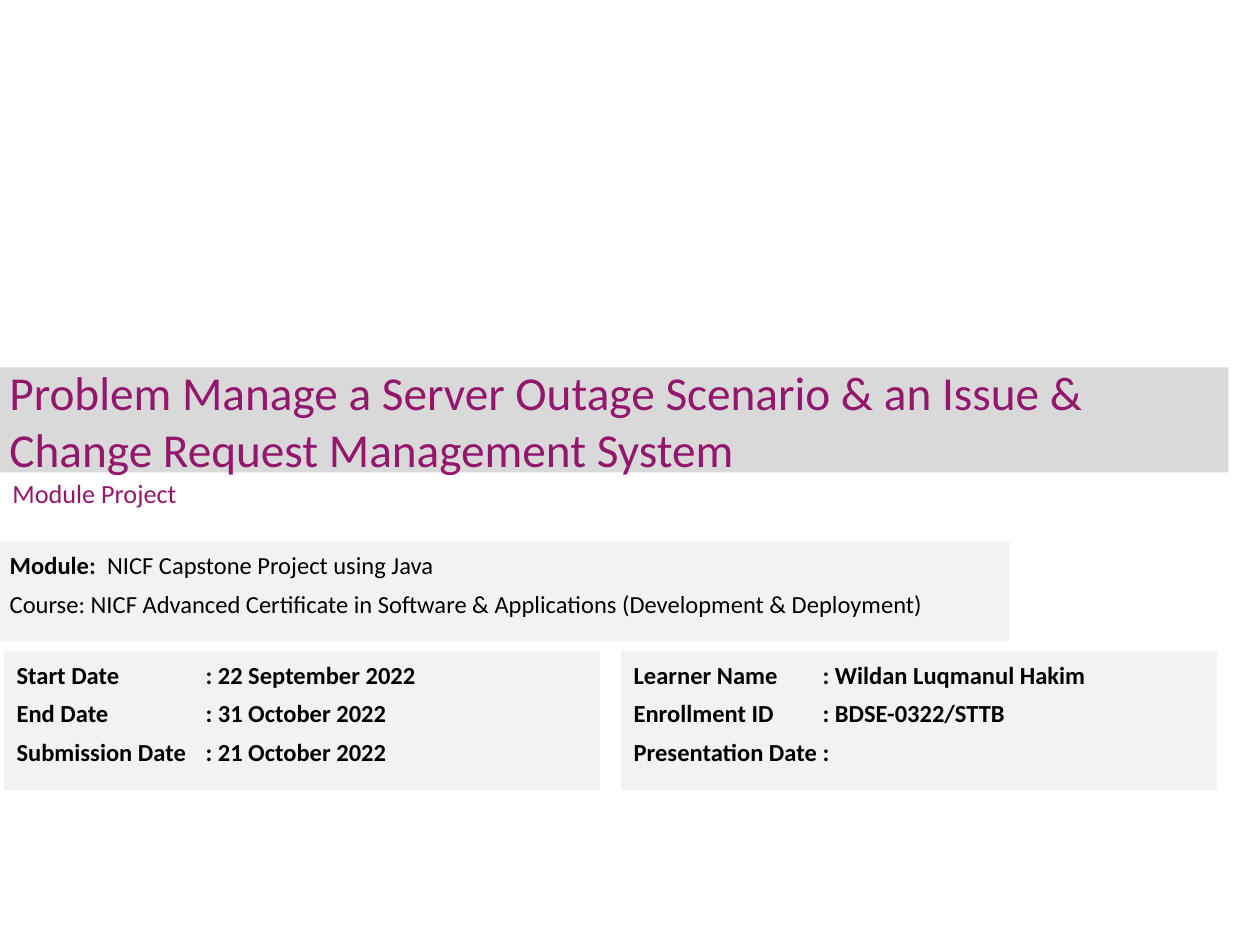
from lxml import etree
from pptx import Presentation
from pptx.dml.color import RGBColor
from pptx.enum import shapes, text
from pptx.oxml import ns
from pptx.util import Pt

PURPLE, BLACK = "93176C", "000000"
BAND, PANEL = "D9D9D9", "F2F2F2"
TAB = Pt(108)


def color(value):
    return RGBColor.from_string(value)


def set_all(obj, values):
    for name, value in values.items():
        setattr(obj, name, value)


def add_run(p, words, size, rgb, bold=False):
    r = p.add_run()
    r.text = words
    set_all(r.font, {"name": "Calibri", "size": Pt(size), "bold": bold})
    r.font.color.rgb = color(rgb)


def add_panel(slide, box, fill, anchor=text.MSO_ANCHOR.TOP):
    sp = slide.shapes.add_shape(shapes.MSO_SHAPE.RECTANGLE, *map(Pt, box))
    sp.shadow.inherit = False
    sp.fill.solid()
    sp.fill.fore_color.rgb = color(fill)
    sp.line.fill.background()
    set_all(sp.text_frame, {"word_wrap": True, "vertical_anchor": anchor})
    return sp.text_frame


def add_heading(tf, words, size):
    p = tf.paragraphs[0]
    p.alignment = text.PP_ALIGN.LEFT
    add_run(p, words, size, PURPLE)


def add_details(tf, lines):
    """Each line is a list of (words, bold) runs."""
    for i, line in enumerate(lines):
        p = tf.add_paragraph() if i else tf.paragraphs[0]
        set_all(p, {"alignment": text.PP_ALIGN.LEFT, "line_spacing": Pt(18),
                    "space_before": Pt(2), "space_after": Pt(2)})
        tabs = etree.SubElement(p._p.get_or_add_pPr(), ns.qn("a:tabLst"))
        etree.SubElement(tabs, ns.qn("a:tab"), pos=str(TAB), algn="l")
        for words, bold in line:
            add_run(p, words, 14, BLACK, bold)


def main():
    prs = Presentation()
    set_all(prs, {"slide_width": Pt(720), "slide_height": Pt(540)})
    slide = prs.slides.add_slide(prs.slide_layouts[6])

    # Title band
    tf = add_panel(slide, (0, 210, 702, 60), BAND, text.MSO_ANCHOR.MIDDLE)
    set_all(tf, {"margin_left": Pt(5.4), "margin_right": Pt(5.4),
                 "margin_top": Pt(2.7), "margin_bottom": Pt(2.7)})
    add_heading(tf, "Problem Manage a Server Outage Scenario & an Issue & "
                    "Change Request Management System", 27)

    # Subtitle
    tf = slide.shapes.add_textbox(*map(Pt, (0, 259.5, 462, 44.5))).text_frame
    set_all(tf, {"word_wrap": True, "vertical_anchor": text.MSO_ANCHOR.MIDDLE})
    add_heading(tf, "Module Project", 15)

    # Module and course
    tf = add_panel(slide, (-1.5, 309.6, 578.5, 56.8), PANEL)
    add_details(tf, [
        [("Module:  ", True), ("NICF Capstone Project using Java", False)],
        [("Course: NICF Advanced Certificate in Software & Applications "
          "(Development & Deployment)", False)],
    ])

    # Dates and learner, side by side
    cards = [
        [("Start Date", "22 September 2022"),
         ("End Date", "31 October 2022"),
         ("Submission Date", "21 October 2022")],
        [("Learner Name", "Wildan Luqmanul Hakim"),
         ("Enrollment ID", "BDSE-0322/STTB"),
         ("Presentation Date", "")],
    ]
    for i, rows in enumerate(cards):
        tf = add_panel(slide, (2.4 + i * 352.6, 372.2, 340.5, 79.2), PANEL)
        add_details(tf, [[(f"{label}\t: {value}".rstrip(), True)]
                         for label, value in rows])

    prs.save("out.pptx")


if __name__ == "__main__":
    main()
